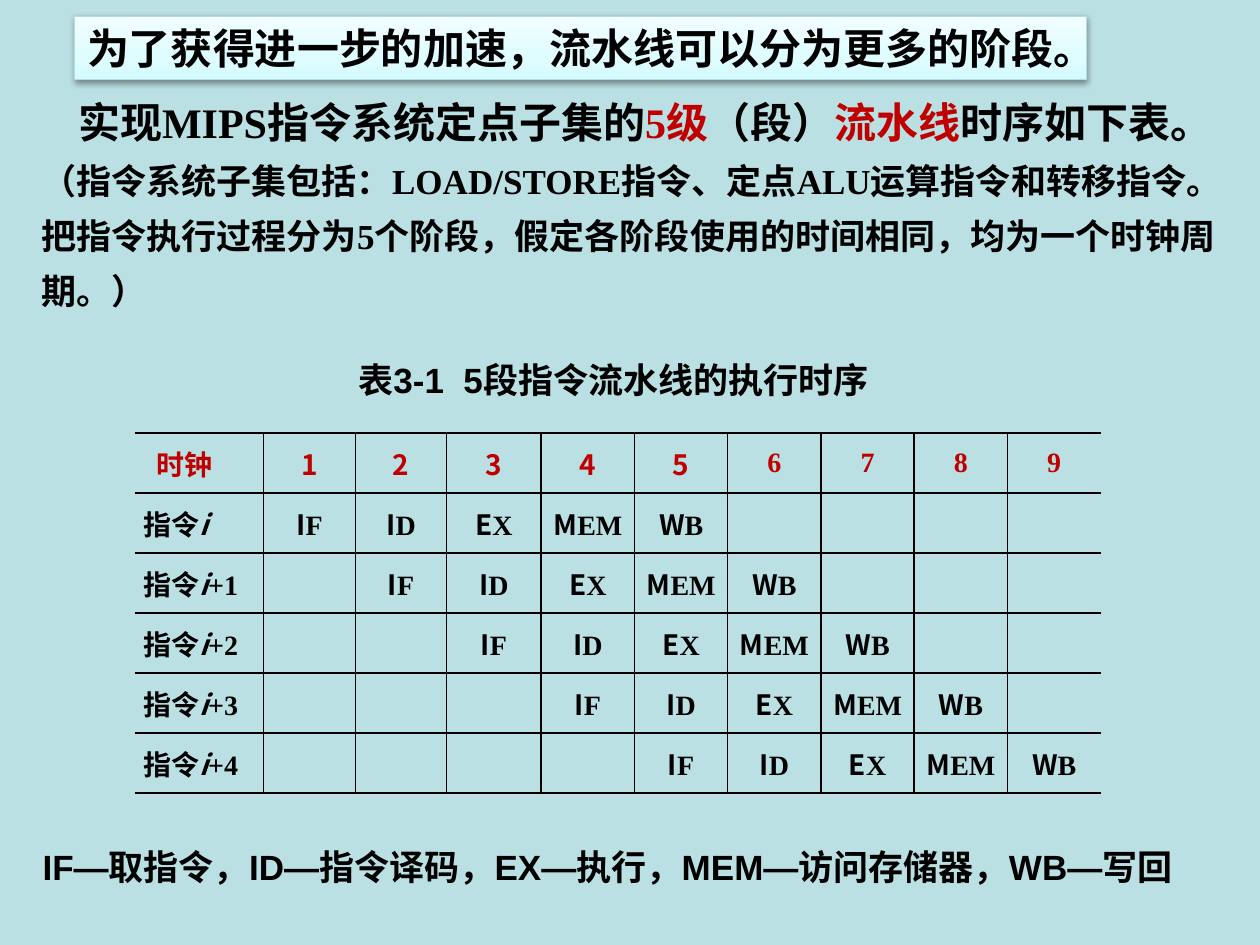
from pptx import Presentation
from pptx.dml.color import RGBColor
from pptx.enum.text import MSO_ANCHOR as Anchor, MSO_AUTO_SIZE as AutoSize, PP_ALIGN as Align
from pptx.oxml import parse_xml
from pptx.oxml.ns import nsdecls
from pptx.util import Cm, Pt

COLORS = {
    "bg": "BBE0E3", "text": "000000", "accent": "C00000", "grid": "080000",
    "box_line": "B6DCDF", "box_low": "D3FBFF", "box_mid": "DFFCFF", "box_high": "F2FEFF",
}
CJK, SERIF, SANS = "Noto Sans CJK SC", "Times New Roman", "Arial"
STAGES = ["IF", "ID", "EX", "MEM", "WB"]
CLOCKS, INSTRUCTIONS = 9, 5


def rgb(key):
    return RGBColor.from_string(COLORS[key])


def xml(tag, body, attrs=""):
    return parse_xml(f"<a:{tag} {nsdecls('a')} {attrs}>{body}</a:{tag}>")


def add_run(p, text, size=20, font=SANS, color="text", italic=False):
    r = p.add_run()
    r.text = text
    f = r.font
    f.size, f.name, f.bold, f.italic = Pt(size), font, True, italic
    f.color.rgb = rgb(color)
    f._element.append(xml("ea", "", f'typeface="{CJK}"'))
    return r


class SlideBuilder:
    def __init__(self, prs):
        self.s = prs.slides.add_slide(prs.slide_layouts[1])
        self.s.background.fill.solid()
        self.s.background.fill.fore_color.rgb = rgb("bg")

    def place(self, sp, left, top, width, height):
        sp.left, sp.top, sp.width, sp.height = Cm(left), Cm(top), Cm(width), Cm(height)
        tf = sp.text_frame
        tf.word_wrap, tf.auto_size = True, AutoSize.NONE
        tf.vertical_anchor = Anchor.TOP
        return tf.paragraphs[0]

    def title(self, text, *box):
        sp = self.s.shapes.title
        p = self.place(sp, *box)
        p.alignment = Align.LEFT
        add_run(p, text, size=24)
        # Gradient runs from the bottom edge to the top edge
        stops = "".join(
            f'<a:gs pos="{pos}"><a:srgbClr val="{COLORS[key]}"/></a:gs>'
            for pos, key in ((0, "box_low"), (35000, "box_mid"), (100000, "box_high")))
        sp._element.spPr.append(xml(
            "gradFill", f'<a:gsLst>{stops}</a:gsLst><a:lin ang="16200000" scaled="1"/>'))
        sp.line.color.rgb = rgb("box_line")
        sp.line.width = Pt(0.75)
        sp._element.spPr.append(xml(
            "effectLst",
            '<a:outerShdw blurRad="40000" dist="20000" dir="5400000" rotWithShape="0">'
            '<a:srgbClr val="000000"><a:alpha val="38000"/></a:srgbClr></a:outerShdw>'))

    def body(self, runs, *box):
        p = self.place(self.s.placeholders[1], *box)
        pPr = p._p.get_or_add_pPr()
        pPr.set("marL", "0")
        pPr.set("indent", str(Cm(0.74)))
        pPr.append(xml("buNone", ""))
        p.line_spacing, p.space_before = 1.3, Pt(0)
        for text, size, color in runs:
            add_run(p, text, size=size, font=SERIF, color=color)

    def text(self, text, *box, align=Align.LEFT):
        p = self.place(self.s.shapes.add_textbox(0, 0, 0, 0), *box)
        p.alignment = align
        add_run(p, text)

    def table(self, left, top, col_widths, row_height, rows):
        table = self.s.shapes.add_table(
            rows, len(col_widths), Cm(left), Cm(top),
            Cm(sum(col_widths)), Cm(row_height * rows)).table
        table.first_row = table.horz_banding = False
        for col, width in zip(table.columns, col_widths):
            col.width = Cm(width)
        for row in table.rows:
            row.height = Cm(row_height)
            for c, cell in enumerate(row.cells):
                self.format_cell(cell, c == 0, c == len(col_widths) - 1)
        return table

    def format_cell(self, cell, is_first, is_last):
        cell.margin_left = cell.margin_right = Cm(0.18)
        cell.margin_top = cell.margin_bottom = 0
        cell.vertical_anchor = Anchor.MIDDLE
        line = f'<a:solidFill><a:srgbClr val="{COLORS["grid"]}"/></a:solidFill>'
        open_sides = {"lnL": is_first, "lnR": is_last}
        tcPr = cell._tc.get_or_add_tcPr()
        for side in ("lnL", "lnR", "lnT", "lnB"):
            fill = "<a:noFill/>" if open_sides.get(side) else line
            tcPr.append(xml(side, fill, f'w="{Pt(1)}"'))
        cell.fill.background()

    def cell(self, cell, *parts, align=Align.CENTER, color="text"):
        p = cell.text_frame.paragraphs[0]
        p.alignment = align
        for text, font, italic in parts:
            add_run(p, text, size=16, font=font, color=color, italic=italic)


def main():
    prs = Presentation()
    prs.slide_width, prs.slide_height = Cm(25.4), Cm(19.05)
    b = SlideBuilder(prs)

    # Heading and introduction
    b.title("为了获得进一步的加速，流水线可以分为更多的阶段。", 1.5, 0.33, 20.4, 1.27)
    b.body([
        ("实现MIPS指令系统定点子集的", 24, "text"),
        ("5级", 24, "accent"),
        ("（段）", 24, "text"),
        ("流水线", 24, "accent"),
        ("时序如下表。", 24, "text"),
        ("（指令系统子集包括：LOAD/STORE指令、定点ALU运算指令和转移指令。"
         "把指令执行过程分为5个阶段，假定各阶段使用的时间相同，均为一个时钟周期。）", 20, "text"),
    ], 0.58, 1.52, 24.28, 6.02)

    # Timing table: each instruction starts one clock after the previous one
    b.text("表3-1  5段指令流水线的执行时序", 5.31, 7.11, 14.12, 1.12, align=Align.CENTER)
    widths = [2.59, 1.86, 1.83, 1.91] + [1.88] * 6
    table = b.table(2.72, 8.73, widths, 1.21, INSTRUCTIONS + 1)
    corner = table.cell(0, 0)
    b.cell(corner, ("时钟", CJK, False), align=Align.LEFT, color="accent")
    corner.margin_left = Cm(0.43)
    for clock in range(1, CLOCKS + 1):
        font = CJK if clock <= len(STAGES) else SERIF
        b.cell(table.cell(0, clock), (str(clock), font, False), color="accent")
    for n in range(INSTRUCTIONS):
        label = [("指令", CJK, False), ("i", CJK, True)]
        if n:
            label.append((f"+{n}", SERIF, False))
        b.cell(table.cell(n + 1, 0), *label, align=Align.LEFT)
        for k, stage in enumerate(STAGES, 1):
            b.cell(table.cell(n + 1, n + k), (stage[0], CJK, False), (stage[1:], SERIF, False))

    # Legend of the stages
    b.text("IF—取指令，ID—指令译码，EX—执行，MEM—访问存储器，WB—写回", 0.61, 16.92, 23.44, 1.12)

    prs.save("out.pptx")


if __name__ == "__main__":
    main()
